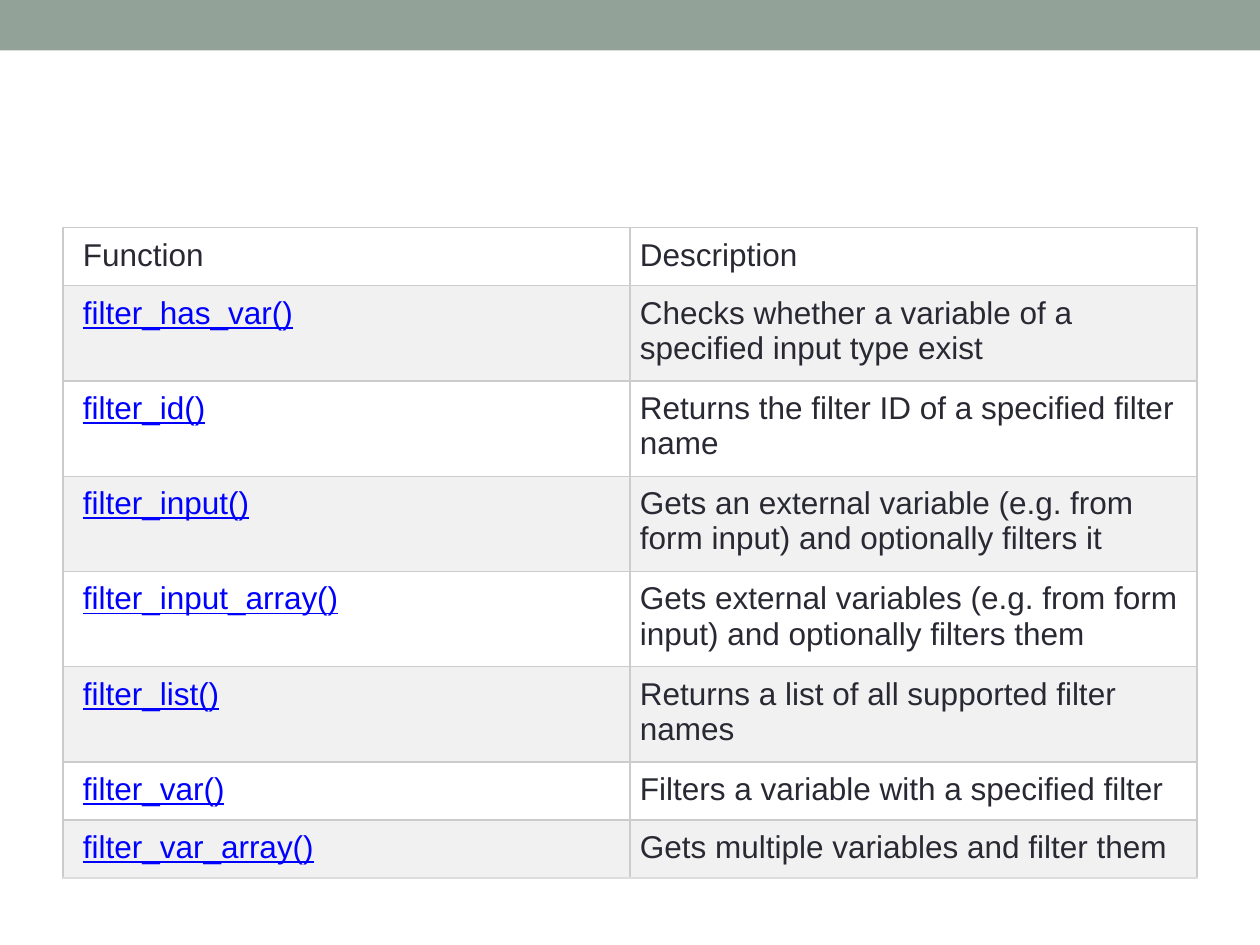
from dataclasses import dataclass

from lxml import etree
from pptx import Presentation
from pptx import util as u
from pptx.dml.color import RGBColor
from pptx.enum import shapes
from pptx.oxml import ns


@dataclass(frozen=True)
class Theme:
    font: str = "Arial"
    size: int = 18
    band: str = "93A299"
    ink: str = "292934"
    link: str = "0000FF"
    row_fills: tuple = ("FFFFFF", "F1F1F1")
    border: str = "CCCCCC"
    last_border: str = "DDDDDD"
    border_width: float = 0.75


ROWS = [
    ("Function", "Description"),
    ("filter_has_var()", "Checks whether a variable of a specified input type exist"),
    ("filter_id()", "Returns the filter ID of a specified filter name"),
    ("filter_input()", "Gets an external variable (e.g. from form input) and optionally filters it"),
    ("filter_input_array()", "Gets external variables (e.g. from form input) and optionally filters them"),
    ("filter_list()", "Returns a list of all supported filter names"),
    ("filter_var()", "Filters a variable with a specified filter"),
    ("filter_var_array()", "Gets multiple variables and filter them"),
]
ONE_LINE, TWO_LINES = 1.17, 1.92
ROW_HEIGHTS = [ONE_LINE] + [TWO_LINES] * 5 + [ONE_LINE] * 2


class SlideBuilder:
    def __init__(self, s, theme):
        self.s = s
        self.theme = theme

    def band(self, left, top, width, height):
        sp = self.s.shapes.add_shape(
            shapes.MSO_SHAPE.RECTANGLE, *map(u.Cm, (left, top, width, height)))
        sp.shadow.inherit = False
        sp.fill.solid()
        sp.fill.fore_color.rgb = RGBColor.from_string(self.theme.band)
        sp.line.fill.background()

    def borders(self, cell, bottom):
        tc_pr = cell._tc.get_or_add_tcPr()
        for side in "LRTB":
            ln = etree.SubElement(tc_pr, ns.qn(f"a:ln{side}"),
                                  w=str(u.Pt(self.theme.border_width)))
            fill = etree.SubElement(ln, ns.qn("a:solidFill"))
            etree.SubElement(fill, ns.qn("a:srgbClr"),
                             val=bottom if side == "B" else self.theme.border)

    def cell(self, cell, content, fill, left_inset, is_link, bottom):
        # Borders come before the fill in the cell properties
        self.borders(cell, bottom)
        cell.fill.solid()
        cell.fill.fore_color.rgb = RGBColor.from_string(fill)
        cell.margin_left = u.Cm(left_inset)
        cell.margin_right = cell.margin_top = cell.margin_bottom = u.Cm(0.2)
        p = cell.text_frame.paragraphs[0]
        r = p.add_run()
        r.text = content
        for font in (p.font, r.font):
            font.name = self.theme.font
            font.size = u.Pt(self.theme.size)
            font.bold = False
            font.underline = is_link
            font.color.rgb = RGBColor.from_string(
                self.theme.link if is_link else self.theme.ink)

    def table(self, left, top, width, rows, heights):
        tbl = self.s.shapes.add_table(
            len(rows), len(rows[0]),
            *map(u.Cm, (left, top, width, sum(heights)))).table
        tbl.first_row = tbl.horz_banding = False
        for i, (row, height) in enumerate(zip(rows, heights)):
            tbl.rows[i].height = u.Cm(height)
            last = i == len(rows) - 1
            for j, content in enumerate(row):
                self.cell(tbl.cell(i, j), content,
                          fill=self.theme.row_fills[i % 2],
                          left_inset=0.2 if j else 0.4,
                          is_link=i > 0 and j == 0,
                          bottom=self.theme.last_border if last else self.theme.border)


def main():
    prs = Presentation()
    prs.slide_width, prs.slide_height = u.Cm(25.4), u.Cm(19.05)
    s = prs.slides.add_slide(prs.slide_layouts[6])
    builder = SlideBuilder(s, Theme())

    # Band across the top
    builder.band(0, 0, 25.4, 1.02)

    # Filter functions
    builder.table(1.27, 4.59, 22.86, ROWS, ROW_HEIGHTS)

    prs.save("out.pptx")


if __name__ == "__main__":
    main()
